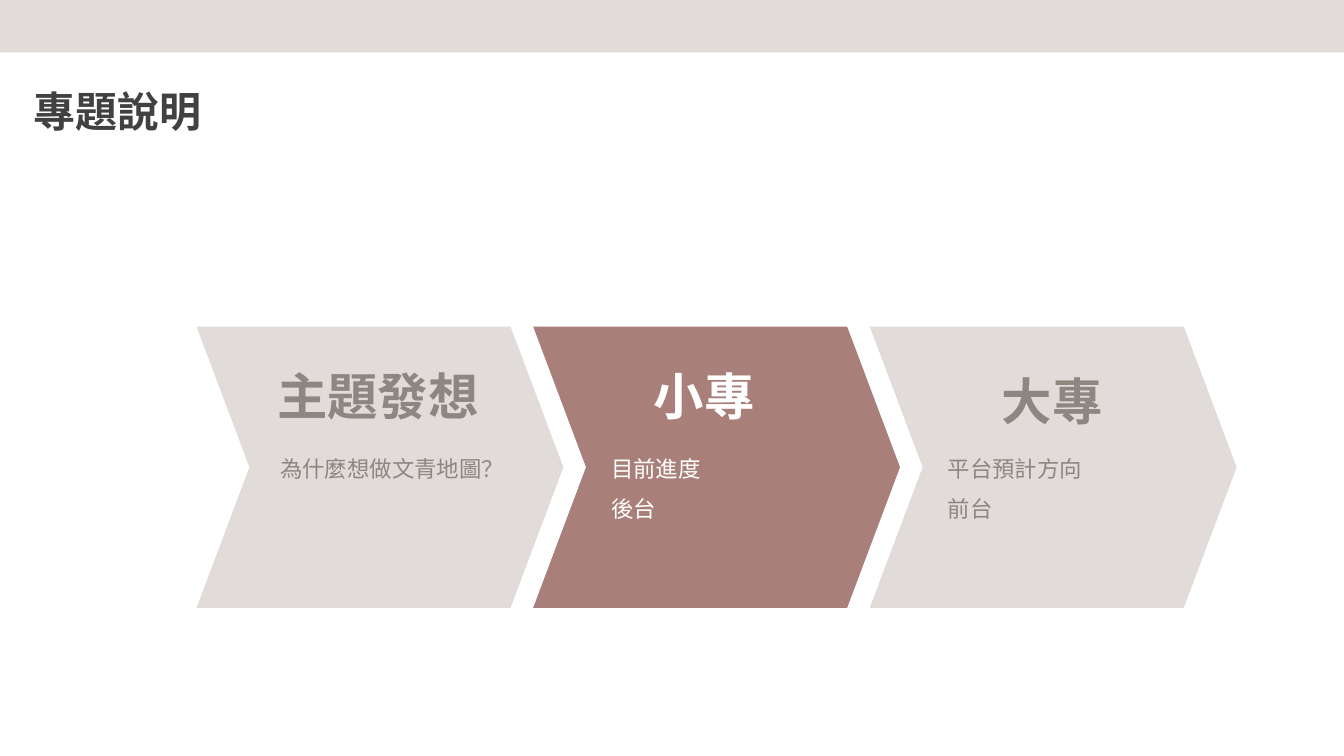
import pptx
import pptx.dml.color
import pptx.enum.shapes
import pptx.enum.text
import pptx.util

RGBColor = pptx.dml.color.RGBColor
Inches = pptx.util.Inches
SHAPES = pptx.enum.shapes.MSO_SHAPE

SAND = RGBColor(0xE1, 0xDC, 0xD9)
ROSE = RGBColor(0xA9, 0x80, 0x79)
TAUPE = RGBColor(0x8E, 0x87, 0x81)
CHARCOAL = RGBColor(0x41, 0x41, 0x43)
WHITE = RGBColor(0xFF, 0xFF, 0xFF)

WIDTH, HEIGHT = 26.67, 15

# Grid of the three steps
STEP_LEFT, STEP_PITCH = 3.9, 6.68
STEP_TOP, STEP_WIDTH, STEP_HEIGHT = 6.48, 7.28, 5.58
HEADING_TOP, HEADING_WIDTH, HEADING_HEIGHT = 6.97, 4.51, 1.73
DETAIL_TOP, DETAIL_WIDTH, DETAIL_LINE = 8.71, 4.96, 0.81


def add_panel(page, kind, left, top, width, height, color):
    """Add a filled shape with neither outline nor shadow."""
    panel = page.shapes.add_shape(
        kind, Inches(left), Inches(top), Inches(width), Inches(height))
    panel.shadow.inherit = False
    panel.fill.solid()
    panel.fill.fore_color.rgb = color
    panel.line.fill.background()
    return panel


def add_text(page, left, top, width, height, lines, size, color, font="Arial",
             heading=False, indent=0, plate=None):
    """Add lines of text, on a filled plate if a plate colour is given."""
    if plate is None:
        box = page.shapes.add_textbox(
            Inches(left), Inches(top), Inches(width), Inches(height))
    else:
        box = add_panel(page, SHAPES.RECTANGLE, left, top, width, height, plate)
    frame = box.text_frame
    frame.word_wrap = True
    frame.vertical_anchor = pptx.enum.text.MSO_ANCHOR.TOP
    if heading:
        frame.margin_top = frame.margin_bottom = Inches(0.04)
        frame.margin_right = Inches(0.04)
        frame.margin_left = Inches(0.04 + indent)
    else:
        frame.auto_size = pptx.enum.text.MSO_AUTO_SIZE.SHAPE_TO_FIT_TEXT
    for number, line in enumerate(lines):
        para = frame.add_paragraph() if number else frame.paragraphs[0]
        para.alignment = pptx.enum.text.PP_ALIGN.LEFT
        para.line_spacing = 1.2 if heading else 1.5
        span = para.add_run()
        span.text = line
        span.font.name = font
        span.font.size = pptx.util.Pt(size)
        span.font.bold = heading
        span.font.color.rgb = color


def add_step(page, column, heading, details, fill, color, plate=None,
             font="Arial", indent=0.0, shift=(0, 0)):
    """Add one chevron with its heading and detail lines."""
    left = STEP_LEFT + column * STEP_PITCH
    text_left = left + (1.56 if column == 0 else 1.45)
    chevron = add_panel(page, SHAPES.CHEVRON, left, STEP_TOP,
                        STEP_WIDTH, STEP_HEIGHT, fill)
    chevron.adjustments[0] = 0.188
    add_text(page, text_left, DETAIL_TOP, DETAIL_WIDTH,
             0.1 + DETAIL_LINE * len(details), details, 32, color, plate=plate)
    add_text(page, text_left + shift[0], HEADING_TOP + shift[1],
             HEADING_WIDTH, HEADING_HEIGHT, [heading], 72, color, font=font,
             heading=True, indent=indent, plate=plate)


def main():
    deck = pptx.Presentation()
    deck.slide_width, deck.slide_height = Inches(WIDTH), Inches(HEIGHT)
    page = deck.slides.add_slide(deck.slide_layouts[6])

    # Process steps, the current one highlighted
    add_step(page, 0, "主題發想", ["為什麼想做文青地圖？"], SAND, TAUPE,
             plate=SAND, font="Open Sans")
    add_step(page, 1, "小專", ["目前進度", "後台"], ROSE, WHITE, indent=0.9)
    add_step(page, 2, "大專", ["平台預計方向", "前台"], SAND, TAUPE,
             plate=SAND, indent=0.9, shift=(0.23, 0.09))

    # Title and top band
    add_text(page, 0.62, 1.45, 7.64, 1.73, ["專題說明"], 60, CHARCOAL,
             heading=True)
    add_panel(page, SHAPES.RECTANGLE, 0, -0.06, WIDTH, 1.1, SAND)

    deck.save("out.pptx")


if __name__ == "__main__":
    main()
